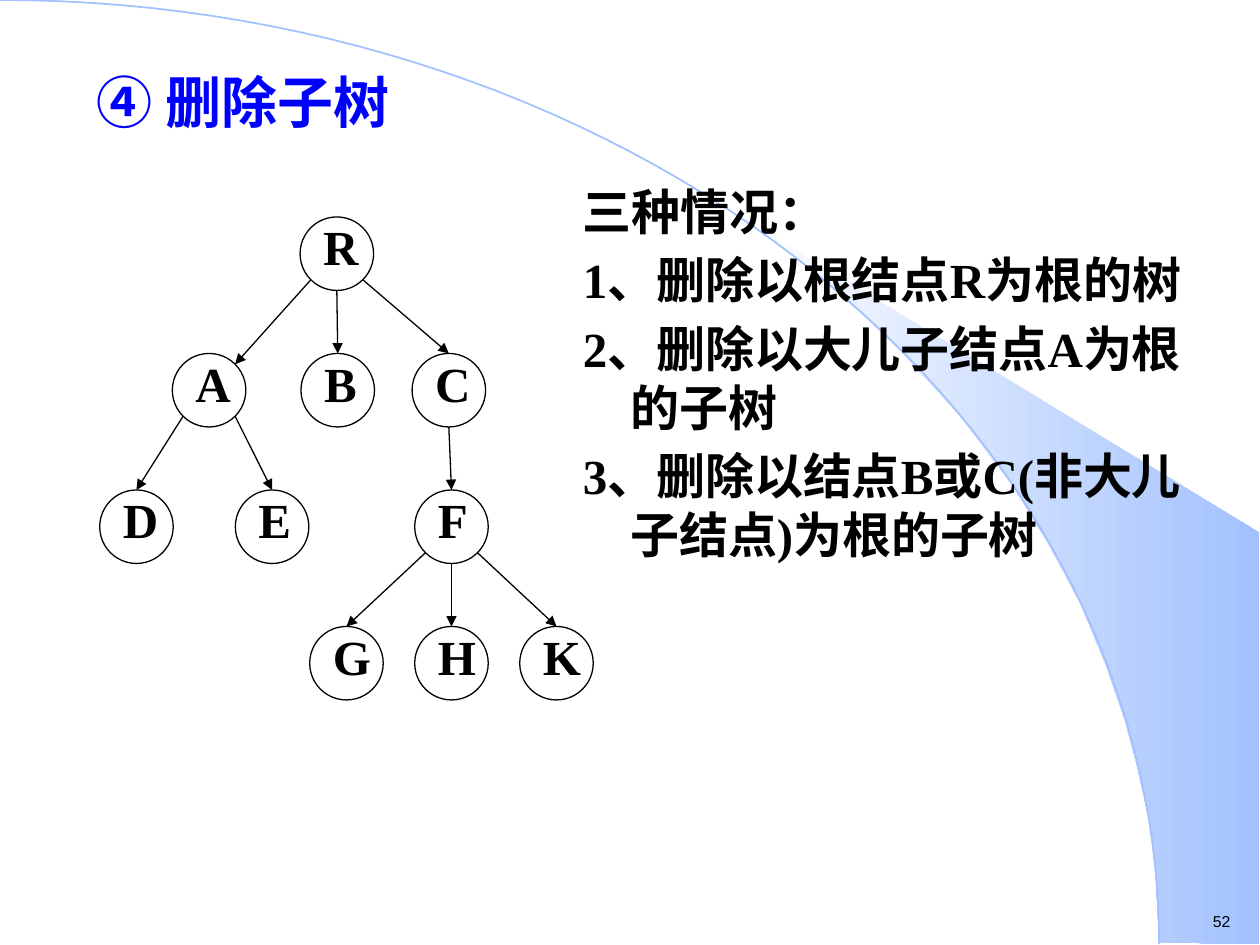
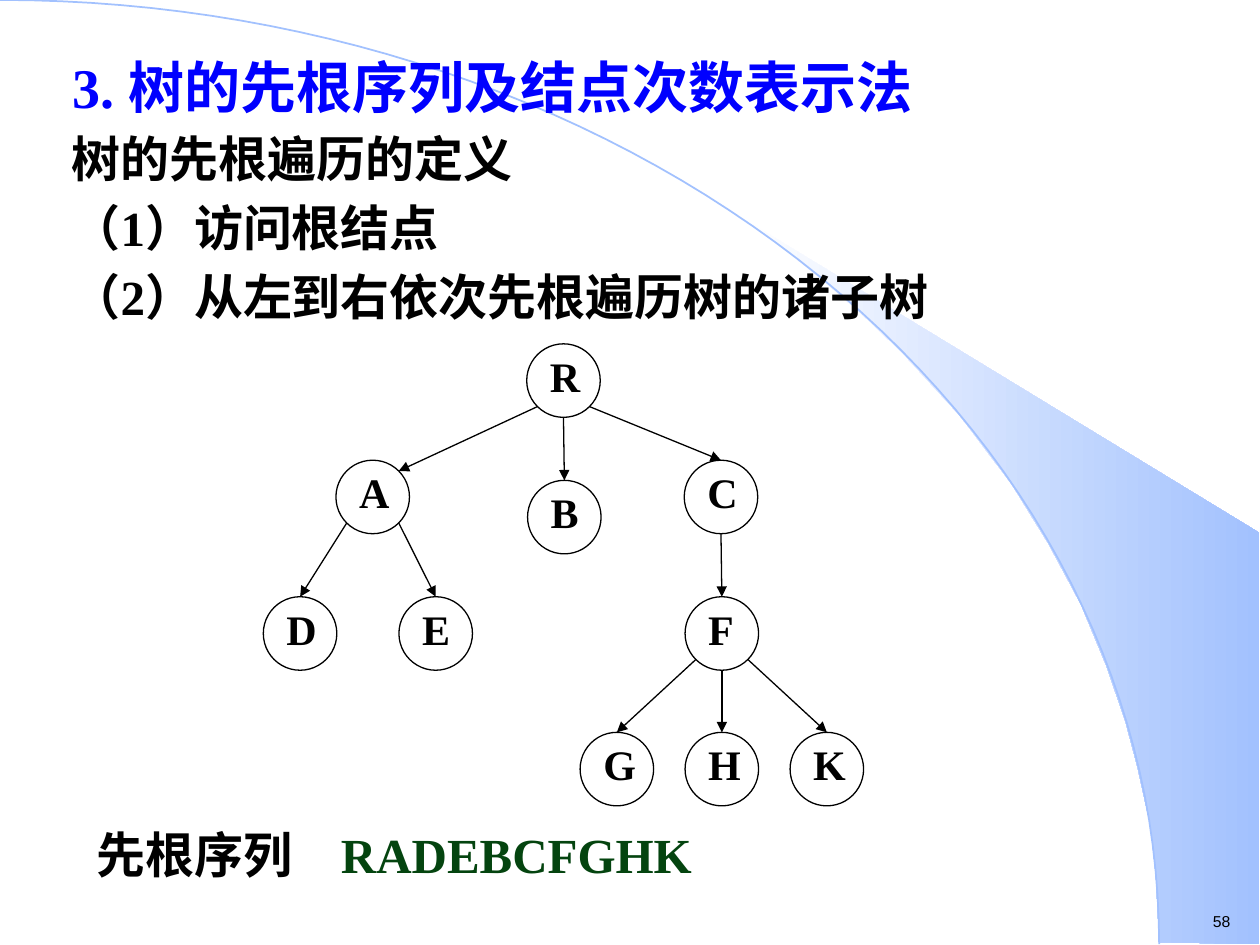
from math import sin, cos, pi, sqrt
from pptx import Presentation
from pptx.util import Pt
from pptx.dml.color import RGBColor
from pptx.enum.shapes import MSO_SHAPE as Shape, MSO_CONNECTOR as Connector
from pptx.enum.text import MSO_ANCHOR as Anchor, MSO_AUTO_SIZE as AutoSize, PP_ALIGN as Align
from pptx.oxml.ns import qn
from lxml.etree import SubElement

# Shared style
BLACK, BLUE, GREEN, SKY, WHITE = "000000", "0000FF", "04440F", "A2C1FE", "FFFFFF"
SERIF, SANS, ROUND = "Times New Roman", "Arial", "Cabin"
NODE, HANGING = 42, 27
ARC_WIDTH, ARC_HEIGHT = 662.4, 539.5
BAND = [(662.4, 538.5), (719.5, 539.5), (719.5, 304.5), (424, 124.5), (449.5, 143.5),
        (470, 160), (493, 180), (515.5, 201.5), (548.5, 237.5), (578, 276.5), (599, 310.5),
        (617.5, 345), (632, 380), (643, 412), (650, 438.5), (657.5, 472.5), (660.5, 501)]

# Content
EDGES = ["RA", "RB", "RC", "AD", "AE", "CF", "FG", "FH", "FK"]
SIDE_ENTRY = "A"  # this node is reached at its upper right

SLIDES = [
    {"number": "52",
     "title": ("④ 删除子树", (48, 34.5, 261, 47)),
     "body": (["三种情况：", "1、删除以根结点R为根的树", "2、删除以大儿子结点A为根的子树",
               "3、删除以结点B或C(非大儿子结点)为根的子树"], (326, 100, 377.5, 255)),
     "label_size": 28, "label_rise": 4.3,
     "nodes": {"R": (171.5, 124), "A": (98.5, 202), "B": (172, 202), "C": (235.5, 202),
               "D": (57, 280), "E": (134.5, 280), "F": (237, 280),
               "G": (177, 358), "H": (237, 358), "K": (297, 358)},
     "result": None},
    {"number": "58",
     "title": ("3. 树的先根序列及结点次数表示法", (34, 26, 598, 47)),
     "body": (["树的先根遍历的定义", "（1）访问根结点", "（2）从左到右依次先根遍历树的诸子树"],
              (34, 70, 598, 129)),
     "label_size": 24, "label_rise": 2.9,
     "nodes": {"R": (301, 196.5), "A": (192, 263), "B": (301.5, 274.5), "C": (391, 263),
               "D": (150.5, 341), "E": (228, 341), "F": (391.5, 341),
               "G": (331.5, 418.5), "H": (391.5, 418.5), "K": (451.5, 418.5)},
     "result": ([("先根序列　", ROUND, BLACK), ("RADEBCFGHK", SERIF, GREEN)],
                (48, 467.5, 380, 41))},
]


def color(value):
    return RGBColor.from_string(value)


def add_run(para, text, size, font=SERIF, fill=BLACK, bold=True):
    run = para.add_run()
    run.text = text
    run.font.name, run.font.size, run.font.bold = font, Pt(size), bold
    run.font.color.rgb = color(fill)


def set_frame(frame, anchor=Anchor.TOP, insets=(7.2, 3.6, 7.2, 3.6), wrap=True):
    frame.auto_size = AutoSize.NONE
    frame.word_wrap = wrap
    frame.vertical_anchor = anchor
    (frame.margin_left, frame.margin_top,
     frame.margin_right, frame.margin_bottom) = map(Pt, insets)
    return frame


def add_box(page, place, wrap=True):
    return set_frame(page.shapes.add_textbox(*map(Pt, place)).text_frame, wrap=wrap)


def add_outline(page, points, closed):
    points = [(Pt(x), Pt(y)) for x, y in points]
    builder = page.shapes.build_freeform(*points[0])
    builder.add_line_segments(points[1:], close=closed)
    outline = builder.convert_to_shape()
    outline.shadow.inherit = False
    return outline


def add_background(page, number):
    band = add_outline(page, BAND, True)
    band.fill.gradient()
    band.fill.gradient_angle = 0
    for stop, value in zip(band.fill.gradient_stops, (WHITE, SKY)):
        stop.color.rgb = color(value)
    band.line.fill.background()
    # Quarter ellipse from the top left to the bottom right
    steps = 60
    angles = [pi / 2 * step / steps for step in range(steps + 1)]
    arc = add_outline(page, [(ARC_WIDTH * sin(a), ARC_HEIGHT * (1 - cos(a))) for a in angles], False)
    arc.fill.background()
    arc.line.color.rgb, arc.line.width = color(SKY), Pt(1)
    frame = add_box(page, (686, 517.5, 25, 18), wrap=False)
    add_run(frame.paragraphs[0], number, 9, SANS, bold=False)


def add_title(page, text, place):
    title = page.shapes.title
    title.left, title.top, title.width, title.height = map(Pt, place)
    para = set_frame(title.text_frame, Anchor.MIDDLE).paragraphs[0]
    para.alignment = Align.JUSTIFY
    add_run(para, text, 32, fill=BLUE)
    title.element.getparent().append(title.element)  # in front of the arc


def add_body(page, lines, place):
    frame = add_box(page, place)
    for index, line in enumerate(lines):
        para = frame.add_paragraph() if index else frame.paragraphs[0]
        properties = para._p.get_or_add_pPr()
        properties.set("marL", str(Pt(HANGING)))
        properties.set("indent", str(-Pt(HANGING)))
        if index:
            para.space_before = Pt(5.6)
        add_run(para, line, 28)


def add_node(page, name, place, size, rise):
    node = page.shapes.add_shape(Shape.OVAL, *map(Pt, (*place, NODE, NODE)))
    node.shadow.inherit = False
    node.fill.background()
    node.line.color.rgb, node.line.width = color(BLACK), Pt(0.75)
    frame = set_frame(node.text_frame, Anchor.MIDDLE, (7.2, 0, 0, 2 * rise))
    frame.paragraphs[0].alignment = Align.LEFT
    add_run(frame.paragraphs[0], name, size)


def rim(place, side, down):
    """Point on a node's rim: side -1, 0 or 1, down -1 (top) or 1 (bottom)."""
    radius = NODE / 2
    reach = radius / sqrt(2) if side else radius
    return place[0] + radius + side * reach, place[1] + radius + down * reach


def add_edge(page, parent, child, entry):
    shift = child[0] - parent[0]
    side = 0 if abs(shift) < 5 else (1 if shift > 0 else -1)
    ends = rim(parent, side, 1) + rim(child, entry, -1)
    edge = page.shapes.add_connector(Connector.STRAIGHT, *map(Pt, ends))
    edge.line.color.rgb, edge.line.width = color(BLACK), Pt(0.75)
    SubElement(edge.line._get_or_add_ln(), qn("a:tailEnd"), type="triangle")
    SubElement(edge._element.spPr, qn("a:effectLst"))


def add_tree(page, nodes, size, rise):
    for name, place in nodes.items():
        add_node(page, name, place, size, rise)
    for parent, child in EDGES:
        add_edge(page, nodes[parent], nodes[child], 1 if child == SIDE_ENTRY else 0)


def main():
    deck = Presentation()
    deck.slide_width, deck.slide_height = Pt(720), Pt(540)
    for content in SLIDES:
        page = deck.slides.add_slide(deck.slide_layouts[5])
        add_background(page, content["number"])
        add_title(page, *content["title"])
        add_body(page, *content["body"])
        add_tree(page, content["nodes"], content["label_size"], content["label_rise"])
        if content["result"]:
            runs, place = content["result"]
            para = add_box(page, place).paragraphs[0]
            for text, font, fill in runs:
                add_run(para, text, 28, font, fill)
    deck.save("out.pptx")


if __name__ == "__main__":
    main()
